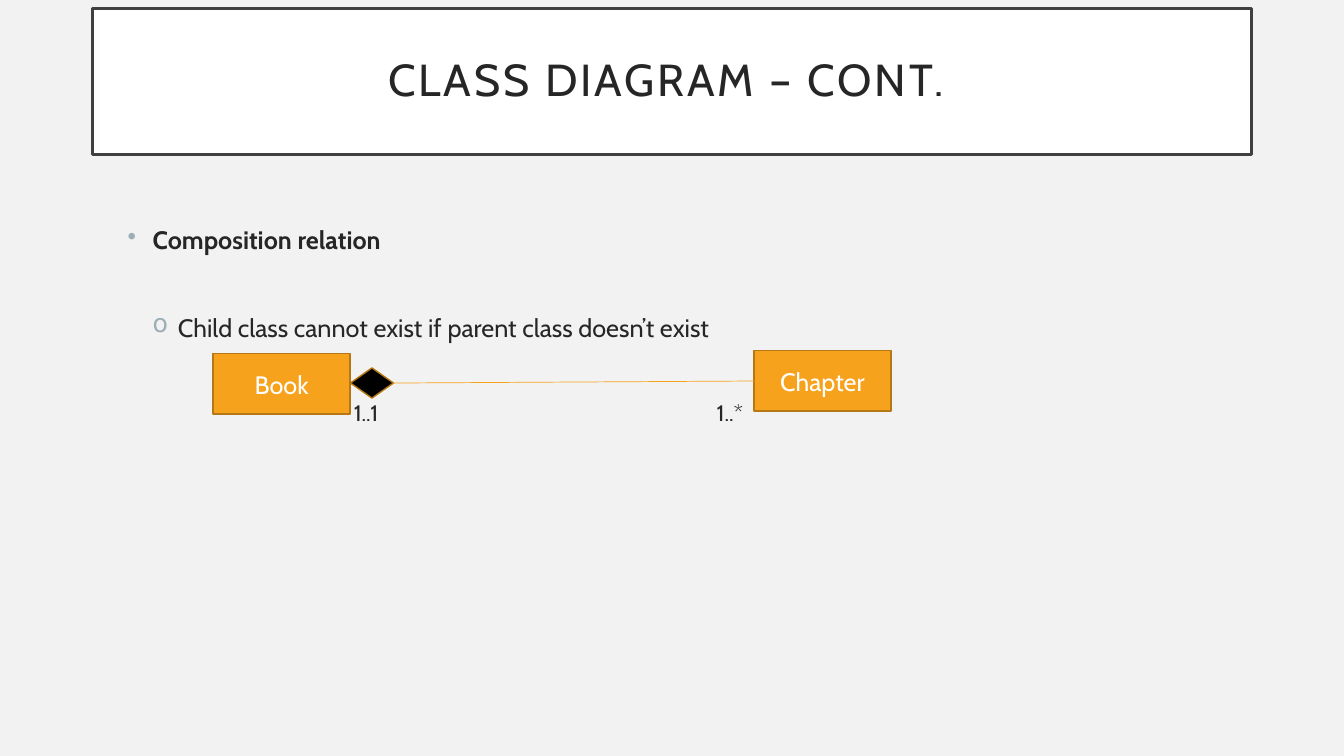
from dataclasses import dataclass

import lxml.etree
import pptx
import pptx.dml.color
import pptx.enum.shapes
import pptx.enum.text
import pptx.oxml.ns
import pptx.util

COLOURS = {
    "background": "F2F2F2", "white": "FFFFFF", "frame": "404040",
    "text": "262626", "bullet": "9BAFB5", "orange": "F6A21D",
    "outline": "B67815", "black": "000000",
}
FONT = "Cabin"
SHAPES = pptx.enum.shapes.MSO_SHAPE
ALIGN = pptx.enum.text.PP_ALIGN
ANCHOR = pptx.enum.text.MSO_ANCHOR
WIDTH, HEIGHT = pptx.util.Inches(13.33), pptx.util.Inches(7.5)
COLUMNS, ROWS = 80, 45


@dataclass
class Area:
    """A place on the grid, in columns and rows."""
    column: float
    row: float
    columns: float
    rows: float

    def lengths(self) -> tuple[int, int, int, int]:
        across, down = WIDTH / COLUMNS, HEIGHT / ROWS
        return (round(self.column * across), round(self.row * down),
                round(self.columns * across), round(self.rows * down))


@dataclass
class Node:
    kind: int
    area: Area
    fill: str
    line: str
    weight: float = 1


@dataclass
class Bullet:
    text: str
    mark: str
    indent: float
    before: float
    bold: bool


@dataclass
class Label:
    text: str
    column: float


TITLE = Node(SHAPES.RECTANGLE, Area(5.5, 0.5, 69, 8.7), "white", "frame", 2.5)
BOOK = Node(SHAPES.RECTANGLE, Area(12.68, 21.06, 8.16, 3.6), "orange", "outline")
CHAPTER = Node(SHAPES.RECTANGLE, Area(44.88, 20.88, 8.16, 3.6), "orange", "outline")
DIAMOND = Node(SHAPES.DIAMOND, Area(20.86, 21.9, 2.56, 1.8), "black", "outline")
BULLETS = [
    Bullet("Composition relation", "•", 0.5, 0, True),
    Bullet("Child class cannot exist if parent class doesn’t exist", "o", 0.75, 41, False),
]
LABELS = [Label("1..1", 21.06), Label("1..*", 42.66)]


def rgb(name: str) -> pptx.dml.color.RGBColor:
    return pptx.dml.color.RGBColor.from_string(COLOURS[name])


def add_span(para, text: str, size: float, colour: str, bold: bool = False):
    span = para.add_run()
    span.text = text
    span.font.name = FONT
    span.font.size = pptx.util.Pt(size)
    span.font.bold = bold
    span.font.color.rgb = rgb(colour)
    return span


def add_node(page, node: Node):
    shape = page.shapes.add_shape(node.kind, *node.area.lengths())
    shape.shadow.inherit = False
    shape.fill.solid()
    shape.fill.fore_color.rgb = rgb(node.fill)
    shape.line.color.rgb = rgb(node.line)
    shape.line.width = pptx.util.Pt(node.weight)
    return shape


def centred_para(shape):
    frame = shape.text_frame
    frame.word_wrap = True
    frame.vertical_anchor = ANCHOR.MIDDLE
    para = frame.paragraphs[0]
    para.alignment = ALIGN.CENTER
    return para


def add_title(page) -> None:
    para = centred_para(add_node(page, TITLE))
    para.line_spacing = 0.9
    span = add_span(para, "CLASS DIAGRAM – CONT.", 32, "text")
    span.font._element.set("spc", "200")
    add_span(para, " ", 28, "text").font._element.set("spc", "200")


def add_bullets(page) -> None:
    box = page.shapes.add_textbox(*Area(5.5, 13.05, 69, 7.8).lengths())
    frame = box.text_frame
    frame.word_wrap = True
    for index, bullet in enumerate(BULLETS):
        para = frame.add_paragraph() if index else frame.paragraphs[0]
        properties = para._p.get_or_add_pPr()
        properties.set("marL", str(pptx.util.Inches(bullet.indent)))
        properties.set("indent", str(pptx.util.Inches(-0.25)))
        qn = pptx.oxml.ns.qn
        colour = lxml.etree.SubElement(properties, qn("a:buClr"))
        lxml.etree.SubElement(colour, qn("a:srgbClr"), val=COLOURS["bullet"])
        lxml.etree.SubElement(properties, qn("a:buChar"), char=bullet.mark)
        if bullet.before:
            para.space_before = pptx.util.Pt(bullet.before)
        add_span(para, bullet.text, 18, "text", bullet.bold)


def add_label(page, label: Label) -> None:
    box = page.shapes.add_textbox(*Area(label.column, 23.64, 2.4, 1.8).lengths())
    frame = box.text_frame
    frame.margin_left = frame.margin_right = 0
    frame.margin_top = frame.margin_bottom = 0
    frame.vertical_anchor = ANCHOR.MIDDLE
    add_span(frame.paragraphs[0], label.text, 16, "text")


def add_relation(page, start, end) -> None:
    line = page.shapes.add_connector(
        pptx.enum.shapes.MSO_CONNECTOR.STRAIGHT, 0, 0, 0, 0)
    line.begin_connect(start, 3)
    line.end_connect(end, 1)
    line.line.color.rgb = rgb("orange")
    line.line.width = pptx.util.Pt(0.5)
    lxml.etree.SubElement(line._element.spPr, pptx.oxml.ns.qn("a:effectLst"))


def main() -> None:
    deck = pptx.Presentation()
    deck.slide_width, deck.slide_height = WIDTH, HEIGHT
    page = deck.slides.add_slide(deck.slide_layouts[6])
    page.background.fill.solid()
    page.background.fill.fore_color.rgb = rgb("background")

    # Heading and explanation
    add_title(page)
    add_bullets(page)

    # Classes
    book, chapter = add_node(page, BOOK), add_node(page, CHAPTER)
    for shape, name in ((book, "Book"), (chapter, "Chapter")):
        add_span(centred_para(shape), name, 18, "white")

    # Composition with its multiplicities
    diamond = add_node(page, DIAMOND)
    add_relation(page, diamond, chapter)
    for label in LABELS:
        add_label(page, label)

    deck.save("out.pptx")


if __name__ == "__main__":
    main()
